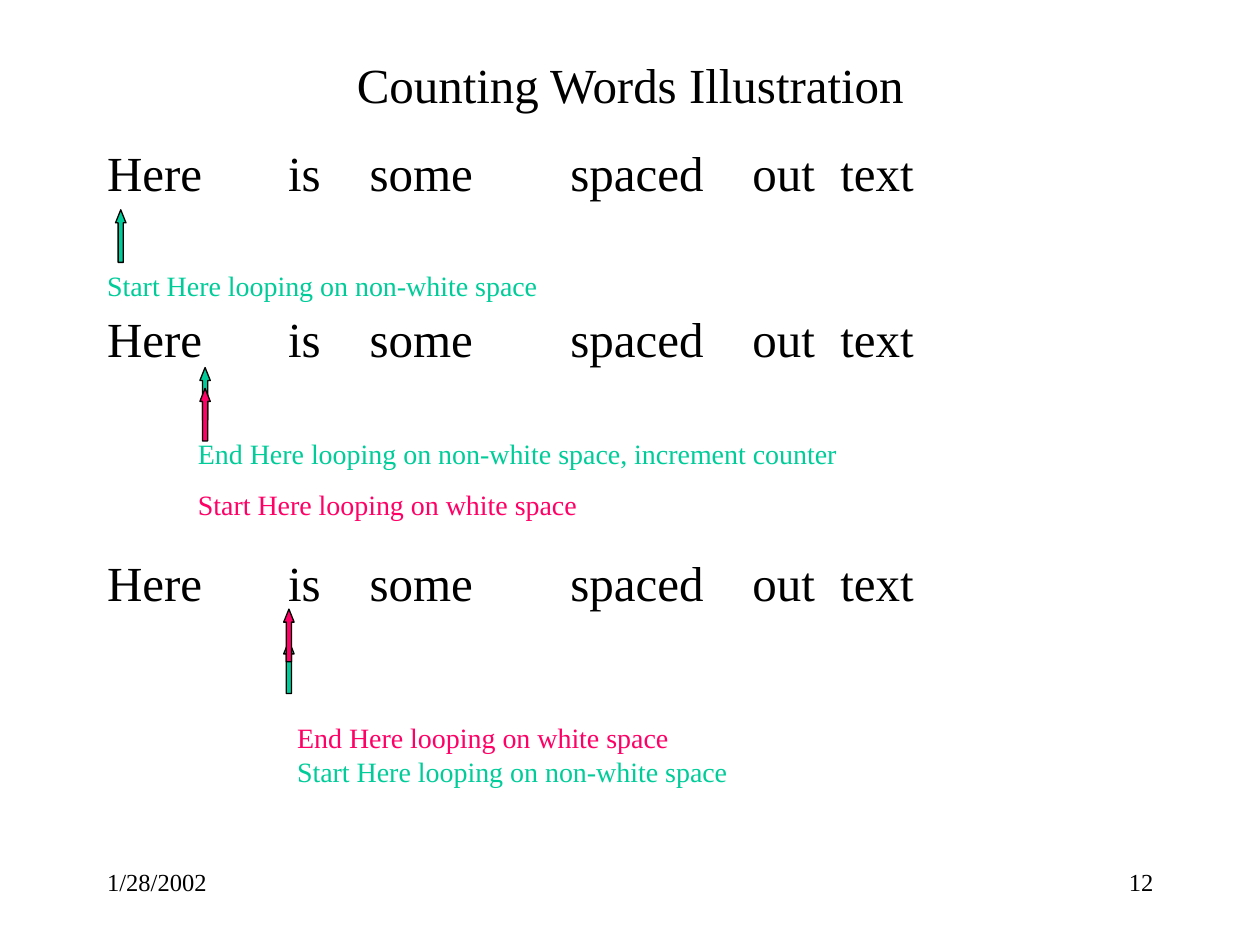
from lxml import etree
from pptx import Presentation
from pptx.dml.color import RGBColor
from pptx.enum.shapes import MSO_SHAPE
from pptx.enum.text import MSO_ANCHOR, PP_ALIGN
from pptx.oxml.ns import qn
from pptx.util import Cm, Pt

UP_ARROW = MSO_SHAPE.UP_ARROW
MIDDLE = MSO_ANCHOR.MIDDLE
LEFT, CENTER, RIGHT = PP_ALIGN.LEFT, PP_ALIGN.CENTER, PP_ALIGN.RIGHT
TITLE_ONLY = 5

FONT = "Times New Roman"
BLACK, GREEN, PINK = "000000", "00CC99", "FF0066"
MARGIN = 1.91
CONTENT_W = 21.59

# The sentence's gaps are tab stops, in cm from the text's left edge
SENTENCE = "Here\tis\tsome\tspaced\tout\ttext"
WORD_STOPS = (3.65, 5.29, 9.34, 13.01, 14.78)
ARROW_W, ARROW_H = 0.21, 1.06


def color(hex_string):
    return RGBColor.from_string(hex_string)


def add_text(p, text, size=16, fill=BLACK, align=LEFT, before=0, indent=0, stops=()):
    """Write one formatted run into paragraph p."""
    p.alignment = align
    p.space_before = Pt(before)
    pPr = p._p.get_or_add_pPr()
    if indent:
        pPr.set("marL", str(Cm(indent)))
    if stops:  # a first-line indent here would make LibreOffice drop the stops
        tabs = etree.SubElement(pPr, qn("a:tabLst"))
        for stop in stops:
            etree.SubElement(tabs, qn("a:tab"), pos=str(Cm(stop)), algn="l")
    r = p.add_run()
    r.text = text
    r.font.name = FONT
    r.font.size = Pt(size)
    r.font.color.rgb = color(fill)


def add_box(s, left, top, width, height):
    tf = s.shapes.add_textbox(Cm(left), Cm(top), Cm(width), Cm(height)).text_frame
    tf.word_wrap = True
    return tf


def add_arrow(s, left, top, fill):
    sp = s.shapes.add_shape(UP_ARROW, Cm(left), Cm(top), Cm(ARROW_W), Cm(ARROW_H))
    sp.adjustments[0], sp.adjustments[1] = 0.5, 1.25
    sp.shadow.inherit = False
    sp.fill.solid()
    sp.fill.fore_color.rgb = color(fill)
    sp.line.color.rgb = color(BLACK)
    sp.line.width = Pt(0.75)


def add_title(s, left, top, width, height):
    title = s.shapes.title
    title.left, title.top = Cm(left), Cm(top)
    title.width, title.height = Cm(width), Cm(height)
    title.text_frame.vertical_anchor = MIDDLE
    add_text(title.text_frame.paragraphs[0], "Counting Words Illustration",
             size=28, align=CENTER)


def add_step(s, left, top, width, height, notes=(), indent=0, note_gap=10,
             sentence_gap=None, arrow_x=0, arrows=()):
    """Notes on one scan position, the next sentence, and arrows placed from the box."""
    lines = [(text, dict(fill=fill, before=note_gap, indent=indent))
             for text, fill in notes]
    if sentence_gap is not None:
        lines.append((SENTENCE, dict(size=28, before=sentence_gap, stops=WORD_STOPS)))
    tf = add_box(s, left, top, width, height)
    for i, (text, style) in enumerate(lines):
        p = tf.paragraphs[0] if i == 0 else tf.add_paragraph()
        if i == 0:
            style["before"] = 0
        add_text(p, text, **style)
    for dy, fill in arrows:
        add_arrow(s, left + arrow_x, top + dy, fill)


def add_footer(s, left, top, width, height):
    part_w = 5.29
    for x, text, align in ((left, "1/28/2002", LEFT),
                           (left + width - part_w, "12", RIGHT)):
        tf = add_box(s, x, top, part_w, height)
        add_text(tf.paragraphs[0], text, size=14, align=align)


def main():
    prs = Presentation()
    prs.slide_width, prs.slide_height = Cm(25.4), Cm(19.05)
    s = prs.slides.add_slide(prs.slide_layouts[TITLE_ONLY])

    add_title(s, MARGIN, 1.27, CONTENT_W, 0.85)

    # Opening sentence
    add_step(s, MARGIN, 2.75, CONTENT_W, 1.48, sentence_gap=0)
    # First letter of the first word
    add_step(s, MARGIN, 5.29, 20.96, 2.23, sentence_gap=3.5,
             notes=[("Start Here looping on non-white space", GREEN)],
             arrow_x=0.42, arrows=[(-1.06, GREEN)])
    # End of the first word
    add_step(s, MARGIN, 8.68, 17.2, 3.75, indent=1.83, sentence_gap=17.5,
             notes=[("End Here looping on non-white space, increment counter", GREEN),
                    ("Start Here looping on white space", PINK)],
             arrow_x=2.12, arrows=[(-1.27, GREEN), (-0.85, PINK)])
    # Start of the second word
    add_step(s, 2.37, 14.4, 12.8, 1.63, indent=3.37, note_gap=0,
             notes=[("End Here looping on white space", PINK),
                    ("Start Here looping on non-white space", GREEN)],
             arrow_x=3.35, arrows=[(-1.48, GREEN), (-2.12, PINK)])

    add_footer(s, MARGIN, 17.36, CONTENT_W, 1.27)
    prs.save("out.pptx")


if __name__ == "__main__":
    main()
